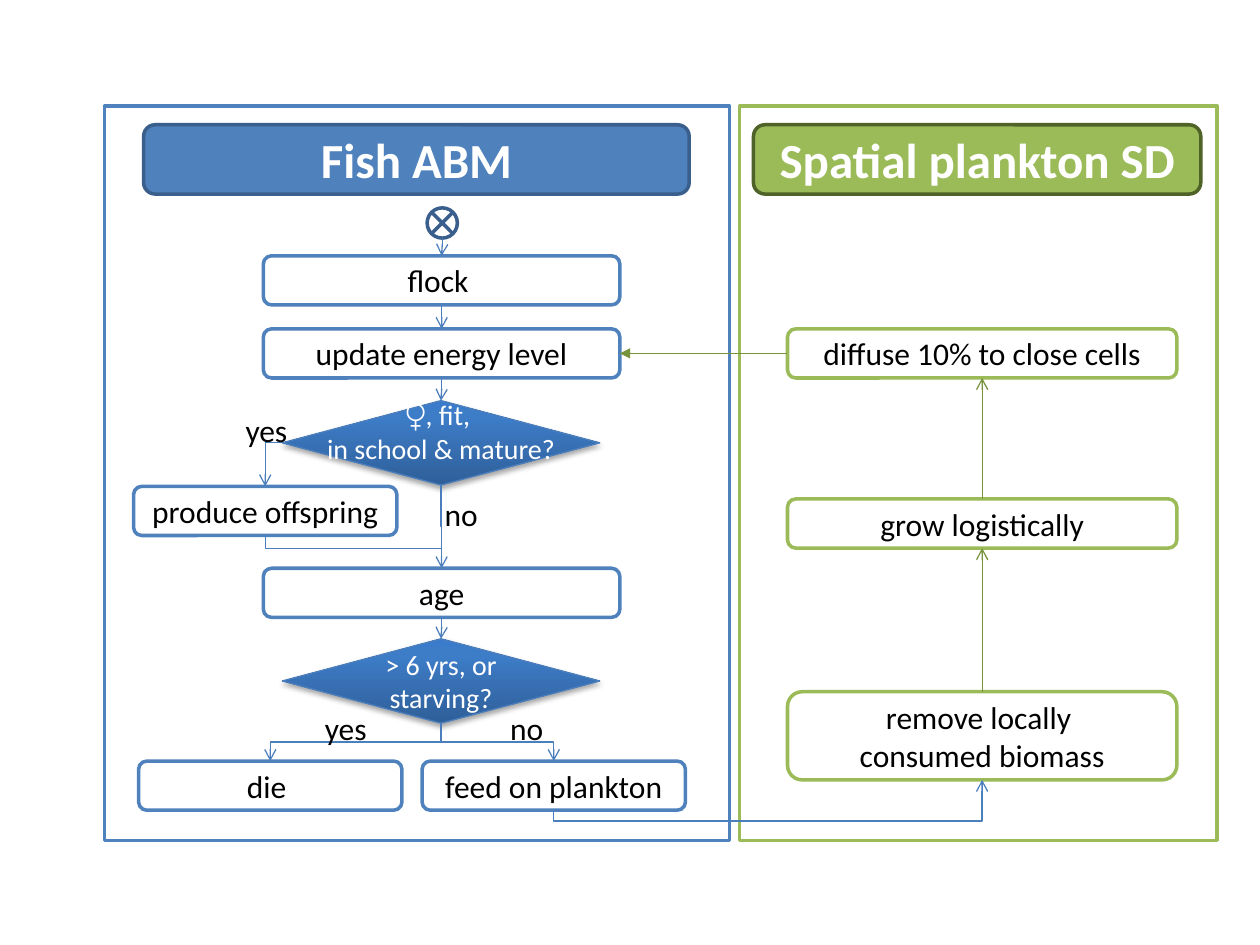
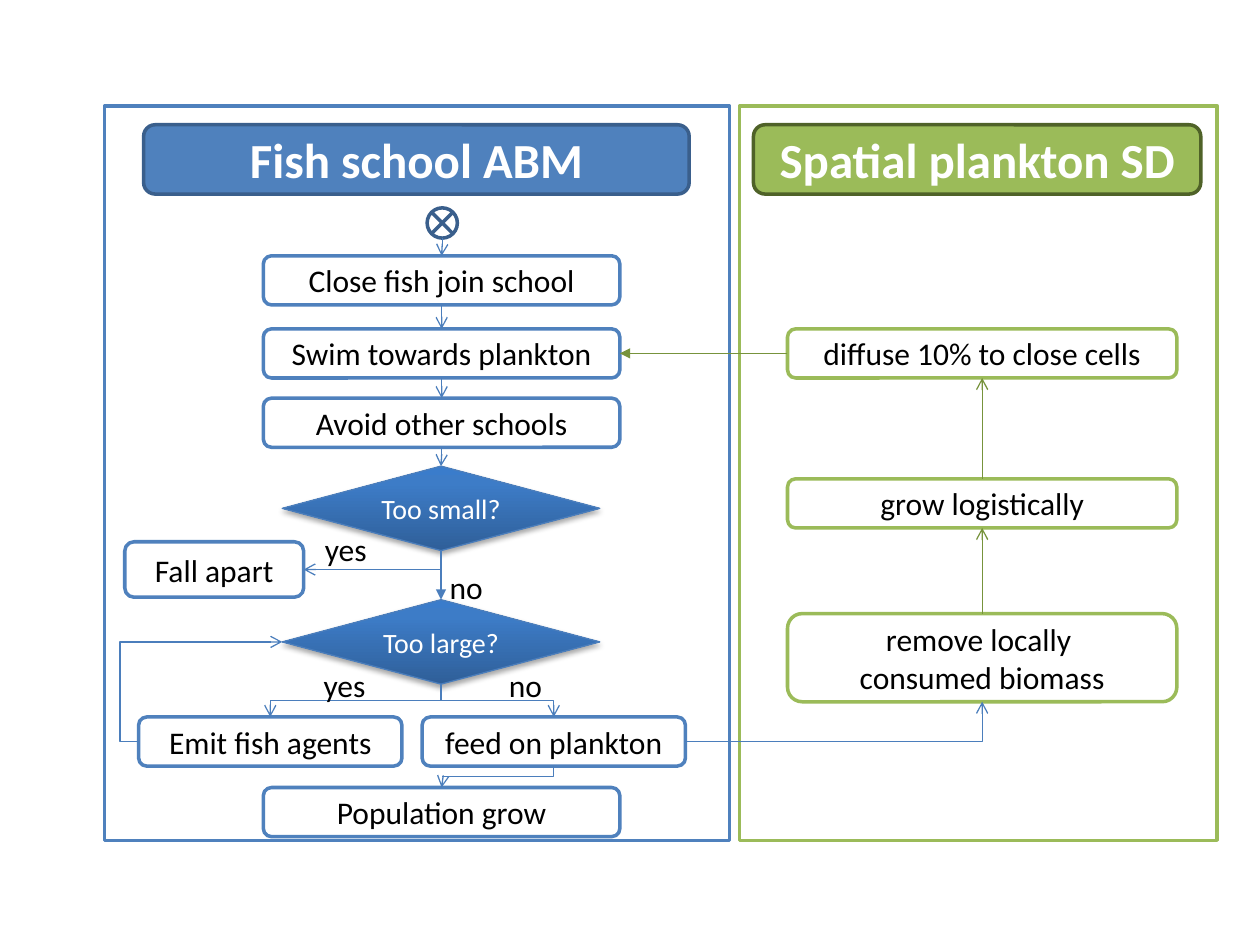
"""Build two flow charts that link a fish model to a plankton model."""
import lxml.etree
import pptx
import pptx.dml.color
import pptx.enum.shapes
import pptx.enum.text
import pptx.oxml
import pptx.oxml.ns
import pptx.util

KIND = pptx.enum.shapes.MSO_SHAPE
ALIGN = pptx.enum.text.PP_ALIGN
qn = pptx.oxml.ns.qn


class Theme:
    font = "Calibri"
    title, body, small = 28, 18, 16
    thick, thin = 2, 0.75
    white, black = "FFFFFF", "000000"
    blue, navy, link = "4F81BD", "3A5F8C", "4B7EBC"
    green, moss, leaf = "9BBB59", "4F6228", "77933C"
    stops = [(0, "2F5F99"), (80, "3D7CC7"), (100, "3A7CCB")]


WIDE, HIGH = pptx.util.Inches(10), pptx.util.Inches(7.5)
CELL = WIDE / 100

LANES = {
    "fish": (8.3, 49.6), "sea": (58.7, 37.9),
    "fish head": (11.4, 43.3), "sea head": (59.8, 35.5),
    "main": (20.9, 28.3), "test": (22.4, 25.2), "spot": (33.9, 2.4),
    "left": (11, 20.9), "right": (33.5, 20.9), "side": (10.6, 20.9),
    "edge": (9.9, 14.2), "plant": (62.5, 30.9),
}

STYLES = {
    "panel": dict(kind=KIND.RECTANGLE, high=58.3),
    "head": dict(kind=KIND.ROUNDED_RECTANGLE, high=5.5,
                 size=Theme.title, color=Theme.white, bold=True),
    "start": dict(kind=KIND.FLOWCHART_SUMMING_JUNCTION, high=2.4,
                  fill=Theme.white, line=Theme.navy),
    "step": dict(kind=KIND.FLOWCHART_ALTERNATE_PROCESS, high=3.9,
                 fill=Theme.white, line=Theme.blue),
    "test": dict(kind=KIND.FLOWCHART_DECISION, high=6.7, line=Theme.link,
                 thick=Theme.thin, size=Theme.small, color=Theme.white),
}
STYLES["fish panel"] = dict(STYLES["panel"], line=Theme.blue)
STYLES["sea panel"] = dict(STYLES["panel"], line=Theme.green)
STYLES["fish head"] = dict(STYLES["head"], fill=Theme.blue, line=Theme.navy)
STYLES["sea head"] = dict(STYLES["head"], fill=Theme.green, line=Theme.moss)
STYLES["plant"] = dict(STYLES["step"], line=Theme.green)
STYLES["tall"] = dict(STYLES["plant"], high=7)
STYLES["low"] = dict(STYLES["step"], high=4.4)

FRAME = [
    ("fish panel", "", "fish panel", "fish", 8.4),
    ("sea panel", "", "sea panel", "sea", 8.4),
    ("sea head", "Spatial plankton SD", "sea head", "sea head", 9.9),
    ("start", "", "start", "spot", 16.5),
    ("diffuse", "diffuse 10% to close cells", "plant", "plant", 26.1),
]

SHARED = [
    ("start", "bottom", "first", "top", {}),
    ("first", "bottom", "second", "top", {}),
    ("diffuse", "left", "second", "right",
     dict(color=Theme.leaf, head="triangle")),
    ("remove", "top", "grow", "bottom", dict(color=Theme.leaf, bent=False)),
    ("grow", "top", "diffuse", "bottom", dict(color=Theme.leaf, bent=False)),
]

SLIDES = [
    dict(
        nodes=[
            ("head", "Fish ABM", "fish head", "fish head", 9.9),
            ("first", "flock ", "step", "main", 20.3),
            ("second", "update energy level", "step", "main", 26.1),
            ("mature", "", "test", "test", 31.8),
            ("breed", "produce offspring", "step", "side", 38.6),
            ("age", "age", "step", "main", 45.1),
            ("old", "> 6 yrs, or starving?", "test", "test", 50.7),
            ("die", "die ", "step", "left", 60.4),
            ("feed", "feed on plankton", "step", "right", 60.4),
            ("grow", "grow logistically", "plant", "plant", 39.6),
            ("remove", "remove locally \vconsumed biomass",
             "tall", "plant", 54.9),
        ],
        links=[
            ("second", "bottom", "mature", "top", {}),
            ("mature", "left", "breed", "top", {}),
            ("breed", "bottom", "age", "top", dict(bend=0.4)),
            ("mature", "bottom", "age", "top", dict(head=None)),
            ("age", "bottom", "old", "top", {}),
            ("old", "bottom", "die", "top", {}),
            ("old", "bottom", "feed", "top", {}),
            ("feed", "bottom", "remove", "bottom", dict(bend=-0.36)),
        ],
        notes=[
            ("yes", 18.5, 32.1, {}), ("no", 34.3, 38.8, {}),
            ("yes", 24.8, 55.8, {}), ("no", 39.5, 55.8, {}),
            ("♀, fit, \vin school & mature?", 22.4, 31.1,
             dict(wide=25.2, high=6.4, size=Theme.small,
                  color=Theme.white, align=ALIGN.CENTER)),
        ],
    ),
    dict(
        nodes=[
            ("head", "Fish school ABM", "fish head", "fish head", 9.9),
            ("first", "Close fish join school", "step", "main", 20.3),
            ("second", "Swim towards plankton", "step", "main", 26.1),
            ("avoid", "Avoid other schools", "step", "main", 31.6),
            ("small", "Too small?", "test", "test", 37),
            ("fall", "Fall apart", "low", "edge", 43),
            ("large", "Too large?", "test", "test", 47.6),
            ("emit", "Emit fish agents", "step", "left", 56.9),
            ("feed", "feed on plankton", "step", "right", 56.9),
            ("more", "Population grow", "step", "main", 62.5),
            ("grow", "grow logistically", "plant", "plant", 38),
            ("remove", "remove locally \vconsumed biomass",
             "tall", "plant", 48.7),
        ],
        links=[
            ("second", "bottom", "avoid", "top", {}),
            ("avoid", "bottom", "small", "top", {}),
            ("small", "bottom", "fall", "right", {}),
            ("small", "bottom", "large", "top",
             dict(head="triangle", bent=False)),
            ("large", "bottom", "emit", "top", {}),
            ("large", "bottom", "feed", "top", {}),
            ("emit", "left", "large", "left", dict(bend=-0.13)),
            ("feed", "right", "remove", "bottom", {}),
            ("feed", "bottom", "more", "top", {}),
        ],
        notes=[
            ("yes", 24.8, 41.6, {}), ("no", 34.7, 44.6, {}),
            ("yes", 24.7, 52.4, {}), ("no", 39.4, 52.4, {}),
        ],
    ),
]


def tint(code):
    return pptx.dml.color.RGBColor.from_string(code)


def scale(*cells):
    return [int(cell * CELL) for cell in cells]


def write(shape, text, size=Theme.body, color=Theme.black, bold=False,
          align=ALIGN.CENTER):
    frame = shape.text_frame
    frame.word_wrap = True
    frame.text = text
    para = frame.paragraphs[0]
    para.alignment = align
    for run in para.runs:
        run.font.name = Theme.font
        run.font.size = pptx.util.Pt(size)
        run.font.bold = bold
        run.font.color.rgb = tint(color)


def shade(shape):
    stops = "".join(
        f'<a:gs pos="{pos * 1000}"><a:srgbClr val="{code}"/></a:gs>'
        for pos, code in Theme.stops)
    names = pptx.oxml.ns.nsdecls("a")
    props = shape.element.spPr
    props.replace(props.find(qn("a:noFill")), pptx.oxml.parse_xml(
        f'<a:gradFill {names} rotWithShape="1"><a:gsLst>{stops}</a:gsLst>'
        '<a:lin ang="16200000" scaled="0"/></a:gradFill>'))
    props.find(qn("a:effectLst")).append(pptx.oxml.parse_xml(
        f'<a:outerShdw {names} blurRad="40000" dist="23000" dir="5400000" '
        f'rotWithShape="0"><a:srgbClr val="{Theme.black}">'
        '<a:alpha val="35000"/></a:srgbClr></a:outerShdw>'))


def place(slide, text, box, kind, line, fill=None, thick=Theme.thick,
          **style):
    shape = slide.shapes.add_shape(kind, *scale(*box))
    shape.shadow.inherit = False
    shape.line.color.rgb = tint(line)
    shape.line.width = pptx.util.Pt(thick)
    if fill:
        shape.fill.solid()
        shape.fill.fore_color.rgb = tint(fill)
    else:
        shape.fill.background()
    if kind == KIND.FLOWCHART_DECISION:
        shade(shape)
    if text:
        write(shape, text, **style)


def point(box, side):
    left, top, wide, high = box
    x, y = {"left": (0, 0.5), "right": (1, 0.5),
            "top": (0.5, 0), "bottom": (0.5, 1)}[side]
    return left + x * wide, top + y * high


def join(slide, boxes, source, out, target, into, color=Theme.link,
         head="arrow", bent=True, bend=0.5):
    x1, y1 = point(boxes[source], out)
    x2, y2 = point(boxes[target], into)
    upright = ("top", "bottom")
    turn = bent and out in upright
    if turn:
        midx, midy = (x1 + x2) / 2, (y1 + y2) / 2
        halfx, halfy = (x2 - x1) / 2, (y2 - y1) / 2
        x1, y1 = midx - halfy, midy + halfx
        x2, y2 = midx + halfy, midy - halfx
    types = pptx.enum.shapes.MSO_CONNECTOR
    wire = slide.shapes.add_connector(
        types.ELBOW if bent else types.STRAIGHT, *scale(x1, y1, x2, y2))
    wire.line.color.rgb = tint(color)
    wire.line.width = pptx.util.Pt(Theme.thin)
    props = wire.element.spPr
    if turn:
        props.find(qn("a:xfrm")).set("rot", "5400000")
    if bent:
        shape = props.find(qn("a:prstGeom"))
        if (out in upright) != (into in upright):
            shape.set("prst", "bentConnector2")
        else:
            lxml.etree.SubElement(
                shape.find(qn("a:avLst")), qn("a:gd"), name="adj1",
                fmla=f"val {round(bend * 100000)}")
    if head:
        lxml.etree.SubElement(
            props.find(qn("a:ln")), qn("a:tailEnd"), type=head)
    lxml.etree.SubElement(props, qn("a:effectLst"))


def note(slide, text, left, top, wide=8.1, high=4, align=ALIGN.LEFT,
         **style):
    box = slide.shapes.add_textbox(*scale(left, top, wide, high))
    write(box, text, align=align, **style)
    box.text_frame.auto_size = (
        pptx.enum.text.MSO_AUTO_SIZE.SHAPE_TO_FIT_TEXT)


def build(deck, nodes, links, notes):
    slide = deck.slides.add_slide(deck.slide_layouts[6])
    boxes = {}
    for name, text, style, lane, top in FRAME + nodes:
        look = dict(STYLES[style])
        left, wide = LANES[lane]
        boxes[name] = (left, top, wide, look.pop("high"))
        place(slide, text, boxes[name], **look)
    for source, out, target, into, look in SHARED + links:
        join(slide, boxes, source, out, target, into, **look)
    for text, left, top, look in notes:
        note(slide, text, left, top, **look)


deck = pptx.Presentation()
deck.slide_width, deck.slide_height = WIDE, HIGH
for page in SLIDES:
    build(deck, **page)
deck.save("out.pptx")
